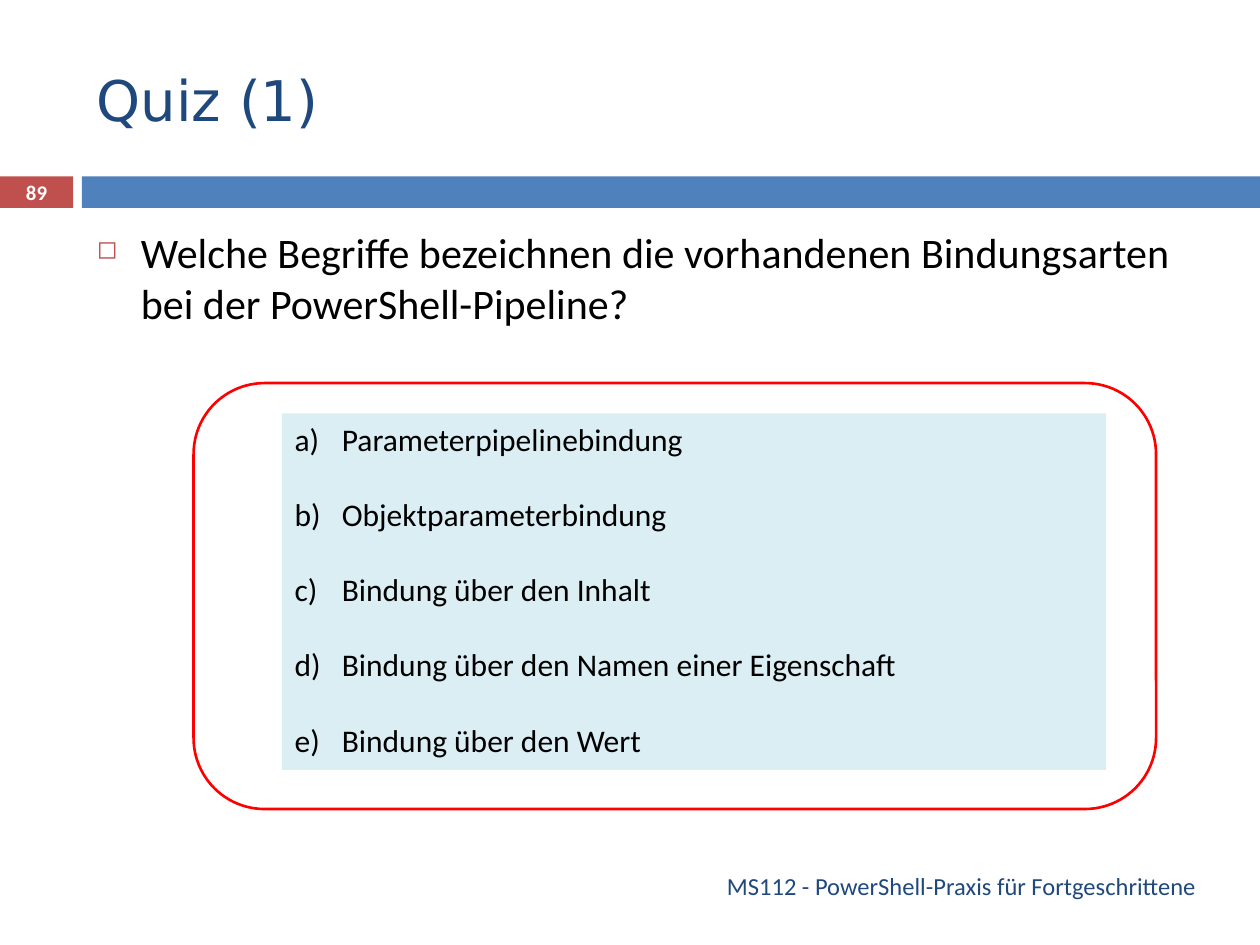
"""Build the quiz slide about binding types in the PowerShell pipeline."""

from dataclasses import dataclass
from typing import Optional

import lxml.etree
import pptx
import pptx.dml.color
import pptx.enum.shapes
import pptx.enum.text
import pptx.oxml.ns
import pptx.util

Pt = pptx.util.Pt
RGBColor = pptx.dml.color.RGBColor
Align = pptx.enum.text.PP_ALIGN
Anchor = pptx.enum.text.MSO_ANCHOR
Preset = pptx.enum.shapes.MSO_SHAPE

RED = RGBColor(0xC0, 0x50, 0x4D)
BLUE = RGBColor(0x4F, 0x81, 0xBD)
NAVY = RGBColor(0x1F, 0x49, 0x7D)
BLACK = RGBColor(0, 0, 0)
WHITE = RGBColor(0xFF, 0xFF, 0xFF)
FRAME_RED = RGBColor(0xFF, 0, 0)
PALE_BLUE = RGBColor(0xDB, 0xEE, 0xF4)

ANSWERS = (
    "Parameterpipelinebindung",
    "Objektparameterbindung",
    "Bindung über den Inhalt",
    "Bindung über den Namen einer Eigenschaft",
    "Bindung über den Wert",
)


@dataclass(frozen=True)
class Box:
    left: float
    top: float
    width: float
    height: float

    def lengths(self) -> tuple:
        return tuple(Pt(value) for value in (self.left, self.top, self.width, self.height))


@dataclass(frozen=True)
class Style:
    size: float
    color: RGBColor
    font: str = "Calibri"
    bold: bool = False
    align: Align = Align.LEFT
    anchor: Anchor = Anchor.MIDDLE
    gap: float = 0


def add_panel(slide, box: Box, fill: Optional[RGBColor] = None,
              line: Optional[RGBColor] = None, preset: Preset = Preset.RECTANGLE):
    shape = slide.shapes.add_shape(preset, *box.lengths())
    shape.shadow.inherit = False
    if fill is None:
        shape.fill.background()
    else:
        shape.fill.solid()
        shape.fill.fore_color.rgb = fill
    if line is None:
        shape.line.fill.background()
    else:
        shape.line.color.rgb = line
        shape.line.width = Pt(1.5)
    return shape


def write_text(shape, text: str, style: Style) -> list:
    text_frame = shape.text_frame
    text_frame.text = text
    text_frame.word_wrap = True
    text_frame.vertical_anchor = style.anchor
    for index, paragraph in enumerate(text_frame.paragraphs):
        paragraph.alignment = style.align
        if index:
            paragraph.space_before = Pt(style.gap)
        for run in paragraph.runs:
            run.font.name = style.font
            run.font.size = Pt(style.size)
            run.font.bold = style.bold
            run.font.color.rgb = style.color
    return list(text_frame.paragraphs)


def add_label(slide, box: Box, text: str, style: Style) -> list:
    return write_text(slide.shapes.add_textbox(*box.lengths()), text, style)


def add_element(parent, tag: str, **attributes: str):
    element = lxml.etree.SubElement(parent, pptx.oxml.ns.qn(tag))
    for name, value in attributes.items():
        element.set(name, value)
    return element


def hang_indent(paragraph, indent: float):
    properties = paragraph._p.get_or_add_pPr()
    properties.set("marL", str(Pt(indent)))
    properties.set("indent", str(-Pt(indent)))
    return properties


def add_square_bullet(paragraph) -> None:
    properties = hang_indent(paragraph, 25.2)
    add_element(add_element(properties, "a:buClr"), "a:srgbClr", val=str(RED))
    add_element(properties, "a:buSzPct", val="60000")
    add_element(properties, "a:buChar", char="◻")


def main() -> None:
    presentation = pptx.Presentation()
    presentation.slide_width = Pt(720)
    presentation.slide_height = Pt(540)
    slide = presentation.slides.add_slide(presentation.slide_layouts[6])

    number_box = Box(0, 100.8, 41.76, 18)
    add_panel(slide, Box(46.8, 100.8, 673.2, 18), fill=BLUE)
    write_text(add_panel(slide, number_box, fill=RED), "89",
               Style(11.9, WHITE, bold=True, align=Align.CENTER))

    add_label(slide, Box(48.24, 18, 642.24, 77.76), "Quiz (1)",
              Style(32, NAVY, font="DejaVu Sans"))
    add_label(slide, Box(48.24, 491.76, 642.24, 28.8),
              "MS112 - PowerShell-Praxis für Fortgeschrittene",
              Style(14, NAVY, align=Align.RIGHT))
    question = add_label(
        slide, Box(48.24, 126, 642.24, 354.24),
        "Welche Begriffe bezeichnen die vorhandenen Bindungsarten bei der PowerShell-Pipeline?",
        Style(24, BLACK, anchor=Anchor.TOP))
    add_square_bullet(question[0])

    add_panel(slide, Box(110.6, 218.9, 550, 243.4), line=FRAME_RED,
              preset=Preset.ROUNDED_RECTANGLE)
    answer_panel = add_panel(slide, Box(161.3, 236.2, 470.9, 203.8), fill=PALE_BLUE)
    answers = write_text(answer_panel, "\n".join(ANSWERS),
                         Style(18, BLACK, anchor=Anchor.TOP, gap=21.4))
    for paragraph in answers:
        add_element(hang_indent(paragraph, 27), "a:buAutoNum", type="alphaLcParenR")

    presentation.save("out.pptx")


if __name__ == "__main__":
    main()
